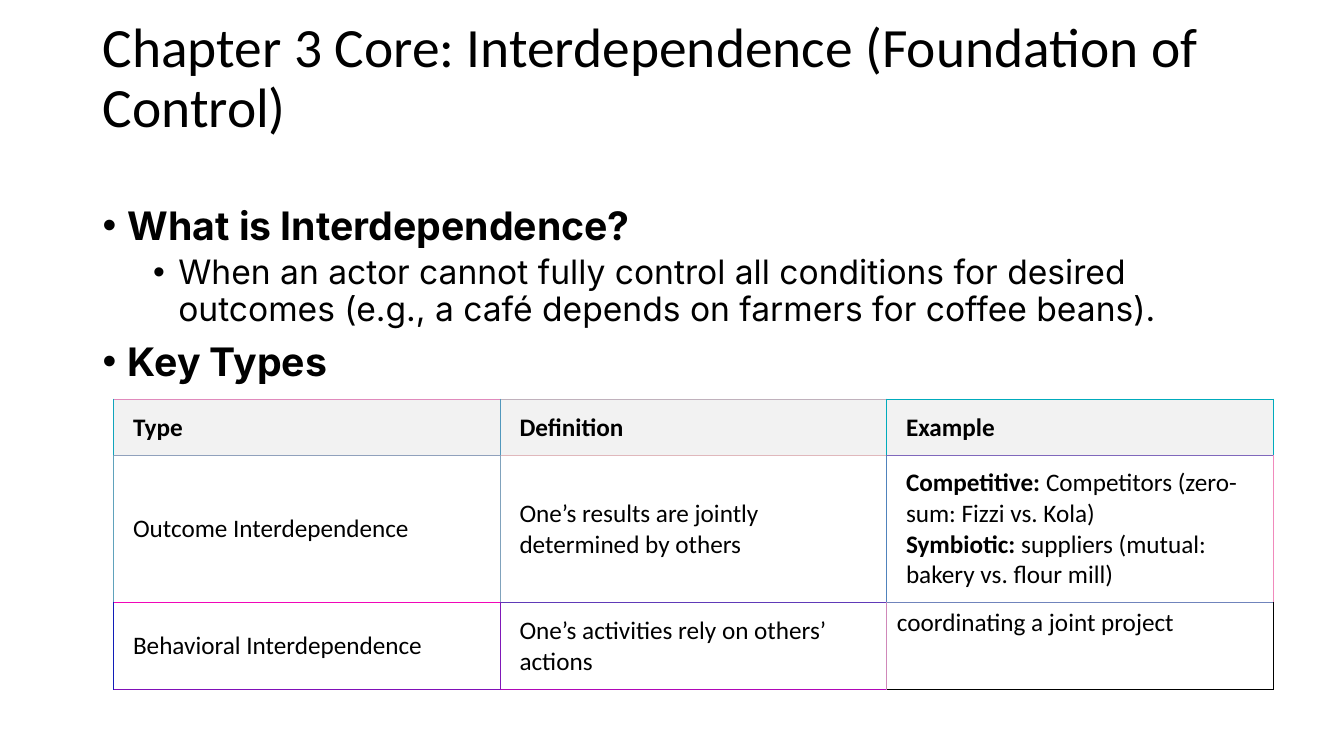
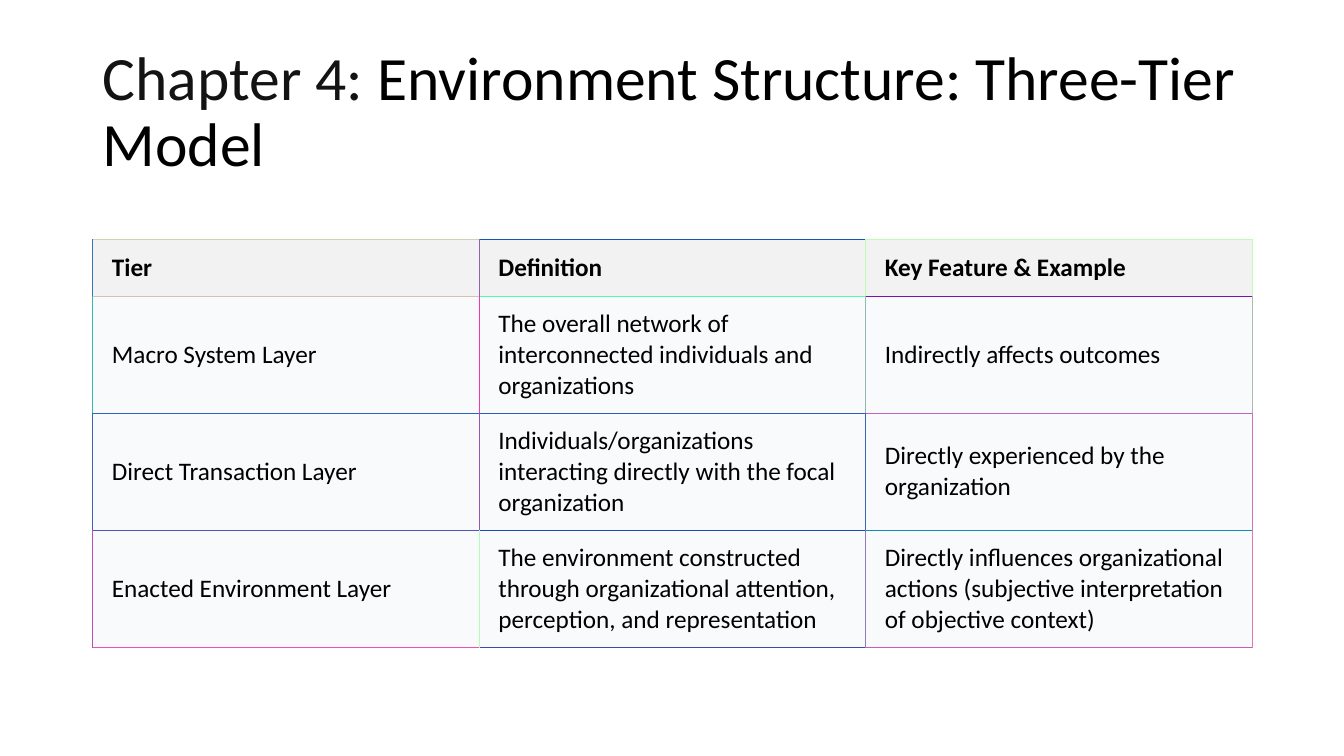
from lxml.etree import SubElement
from pptx import Presentation
from pptx.dml.color import RGBColor
from pptx.enum.text import MSO_ANCHOR
from pptx.oxml.ns import qn
from pptx.util import Inches, Pt

# Shared look
SLIDE_W, SLIDE_H = 13.33, 7.5
MARGIN, CONTENT_W = 0.92, 11.5
TITLE_H = 1.45
TITLE_FONT = TABLE_FONT = "Calibri"
BODY_FONT = "Inter"
BLACK = RGBColor(0x00, 0x00, 0x00)
INK = RGBColor(0x13, 0x13, 0x14)
WHITE = RGBColor(0xFF, 0xFF, 0xFF)
HEADER_GREY = RGBColor(0xF2, 0xF2, 0xF2)
PALE = RGBColor(0xF9, 0xFA, 0xFB)
BORDER_PT = 0.75


def colour_grid(*rows):
    return [[RGBColor.from_string(code) for code in row.split()] for row in rows]


# Grid line colours: one row per horizontal line, then one row per table row
TYPES_ACROSS = colour_grid(
    "E08ABC C0B1BC 00ABBC",
    "90A1BC E0B8BC 8068BC",
    "F007B8 603AB8 7084BC",
    "8010B8 B007B8 000000")
TYPES_DOWN = colour_grid(
    "10A4BC 5097BC 00ABBC 00ABBC",
    "60A2BC 80A2BC 5083BC F08ABC",
    "101EB8 8018B8 D088B9 000000")
TIERS_ACROSS = colour_grid(
    "D0D0B3 1058B2 C0FCB4",
    "E0BDB2 50FAB2 800DB9",
    "3063B5 305AB5 C064BC",
    "5054B5 2049B5 108BB2",
    "F04DB5 4045B5 D058B5")
TIERS_DOWN = colour_grid(
    "3074B2 9063B2 C0FCB4 C0FCB4",
    "30BEB2 F037B5 90B9B2 B0B8B2",
    "4060B5 9059B5 306AB5 D073B5",
    "C04CB5 B0FFB5 907CB5 E078B5")

# Each cell is a list of paragraphs, each paragraph a list of (text, bold) runs
COMPETITION = [("Competitive: ", True),
               ("Competitors (zero-sum: Fizzi vs. Kola)", False)]
SYMBIOSIS = [("Symbiotic: ", True),
             ("suppliers (mutual: bakery vs. flour mill)", False)]
TYPES = [
    ["Type", "Definition", "Example"],
    ["Outcome Interdependence", "One’s results are jointly determined by others",
     [COMPETITION, SYMBIOSIS]],
    ["Behavioral Interdependence", "One’s activities rely on others’ actions",
     "coordinating a joint project"],
]
TIERS = [
    ["Tier", "Definition", "Key Feature & Example"],
    ["Macro System Layer",
     "The overall network of interconnected individuals and organizations",
     "Indirectly affects outcomes"],
    ["Direct Transaction Layer",
     "Individuals/organizations interacting directly with the focal organization",
     "Directly experienced by the organization"],
    ["Enacted Environment Layer",
     "The environment constructed through organizational attention, perception, "
     "and representation",
     "Directly influences organizational actions (subjective interpretation "
     "of objective context)"],
]
POINTS = [
    (0, "What is Interdependence?"),
    (1, "When an actor cannot fully control all conditions for desired outcomes "
        "(e.g., a café depends on farmers for coffee beans)."),
    (0, "Key Types"),
]


def add_run(paragraph, text, size, font, colour=BLACK, bold=False):
    run = paragraph.add_run()
    run.text = text
    run.font.size, run.font.name, run.font.bold = Pt(size), font, bold
    run.font.color.rgb = colour


def text_frame(slide, box, anchor):
    frame = slide.shapes.add_textbox(*map(Inches, box)).text_frame
    frame.word_wrap = True
    frame.vertical_anchor = anchor
    return frame


def nth_paragraph(frame, index):
    return frame.paragraphs[0] if index == 0 else frame.add_paragraph()


def add_title(slide, top, size, runs):
    frame = text_frame(slide, (MARGIN, top, CONTENT_W, TITLE_H), MSO_ANCHOR.MIDDLE)
    heading = frame.paragraphs[0]
    heading.line_spacing = 0.9
    for text, colour in runs:
        add_run(heading, text, size, TITLE_FONT, colour)


def add_points(slide, box, points):
    frame = text_frame(slide, box, MSO_ANCHOR.TOP)
    for index, (level, text) in enumerate(points):
        point = nth_paragraph(frame, index)
        point.level = level
        point.line_spacing = 0.9
        point.space_before = Pt(5 if level else 10)
        # Hanging bullet
        props = point._p.get_or_add_pPr()
        props.set("marL", str(Inches(0.25 + 0.5 * level)))
        props.set("indent", str(Inches(-0.25)))
        SubElement(props, qn("a:buFont")).set("typeface", "Arial")
        SubElement(props, qn("a:buChar")).set("char", "•")
        add_run(point, text, 24 if level else 28, BODY_FONT, bold=level == 0)


def set_borders(cell, **sides):
    props = cell._tc.get_or_add_tcPr()
    for side in "LRTB":
        line = SubElement(props, qn(f"a:ln{side}"), w=str(Pt(BORDER_PT)))
        fill = SubElement(line, qn("a:solidFill"))
        SubElement(fill, qn("a:srgbClr")).set("val", str(sides[side]))


def fill_cell(cell, content, is_header, fill):
    cell.fill.solid()
    cell.fill.fore_color.rgb = HEADER_GREY if is_header else fill
    cell.vertical_anchor = MSO_ANCHOR.MIDDLE
    cell.margin_left = cell.margin_right = Inches(0.19)
    cell.margin_top = cell.margin_bottom = Inches(0.12)
    paragraphs = [[(content, is_header)]] if isinstance(content, str) else content
    for index, runs in enumerate(paragraphs):
        paragraph = nth_paragraph(cell.text_frame, index)
        for text, bold in runs:
            add_run(paragraph, text, 18, TABLE_FONT, bold=bold)


def add_grid(slide, left, top, heights, rows, fill, across, down):
    columns = len(rows[0])
    table = slide.shapes.add_table(
        len(rows), columns, Inches(left), Inches(top),
        Inches(CONTENT_W), Inches(sum(heights))).table
    table.first_row = table.horz_banding = False
    for column in table.columns:
        column.width = Inches(CONTENT_W / columns)
    for r, (height, row) in enumerate(zip(heights, rows)):
        table.rows[r].height = Inches(height)
        for c, content in enumerate(row):
            cell = table.cell(r, c)
            set_borders(cell, L=down[r][c], R=down[r][c + 1],
                        T=across[r][c], B=across[r + 1][c])
            fill_cell(cell, content, r == 0, fill)
    return table


def build_interdependence(slide):
    add_title(slide, 0.06, 39.6,
              [("Chapter 3 Core: Interdependence (Foundation of Control)", BLACK)])
    add_points(slide, (MARGIN, 2, CONTENT_W, 4.76), POINTS)
    table = add_grid(slide, 1.13, 3.96, [0.56, 1.46, 0.86], TYPES, WHITE,
                     TYPES_ACROSS, TYPES_DOWN)
    # The last example sits at the top of its cell, without a fill
    project = table.cell(2, 2)
    project.fill.background()
    project.vertical_anchor = MSO_ANCHOR.TOP
    project.margin_left = project.margin_right = Inches(0.1)
    project.margin_top = project.margin_bottom = Inches(0.05)


def build_three_tiers(slide):
    add_title(slide, 0.4, 44, [("Chapter 4: ", INK),
                               ("Environment Structure: Three-Tier Model", BLACK)])
    add_grid(slide, MARGIN, 2.38, [0.56] + [1.16] * 3, TIERS, PALE,
             TIERS_ACROSS, TIERS_DOWN)


def main():
    deck = Presentation()
    deck.slide_width, deck.slide_height = Inches(SLIDE_W), Inches(SLIDE_H)
    for build in (build_interdependence, build_three_tiers):
        build(deck.slides.add_slide(deck.slide_layouts[6]))
    deck.save("out.pptx")


if __name__ == "__main__":
    main()
